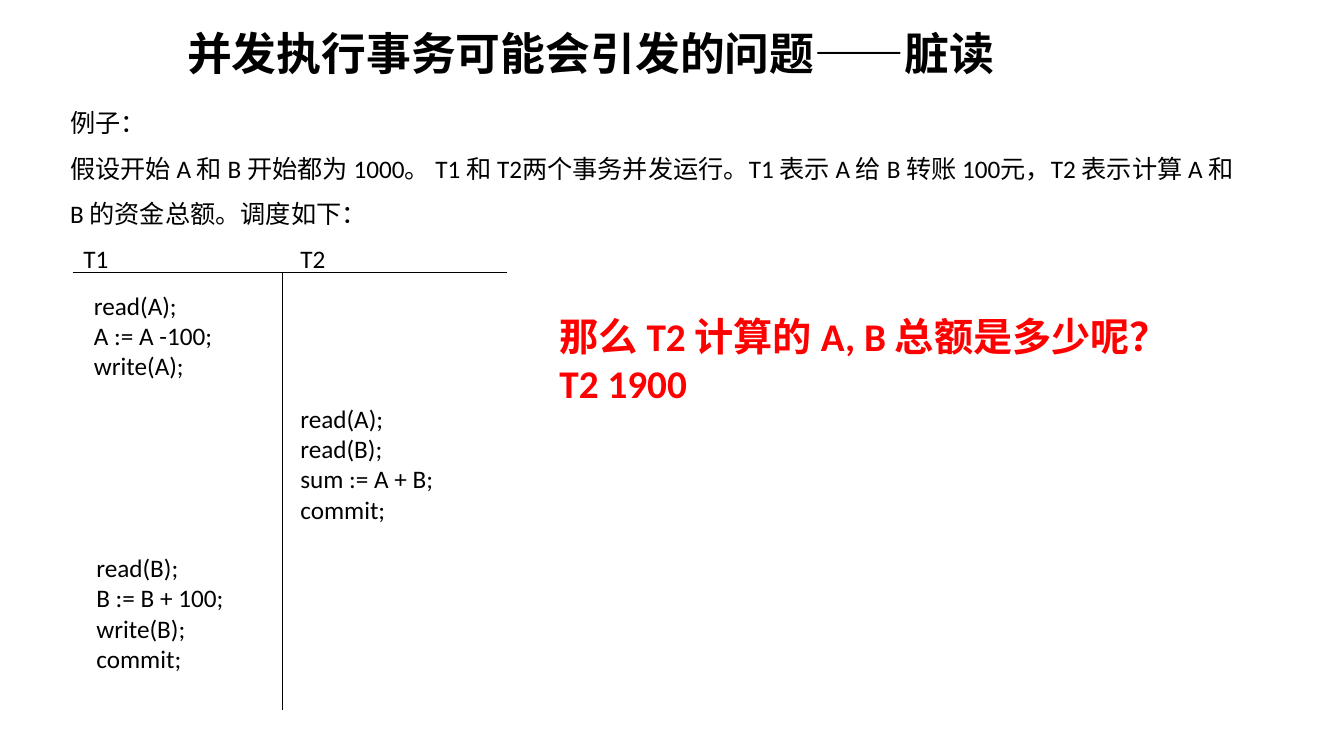
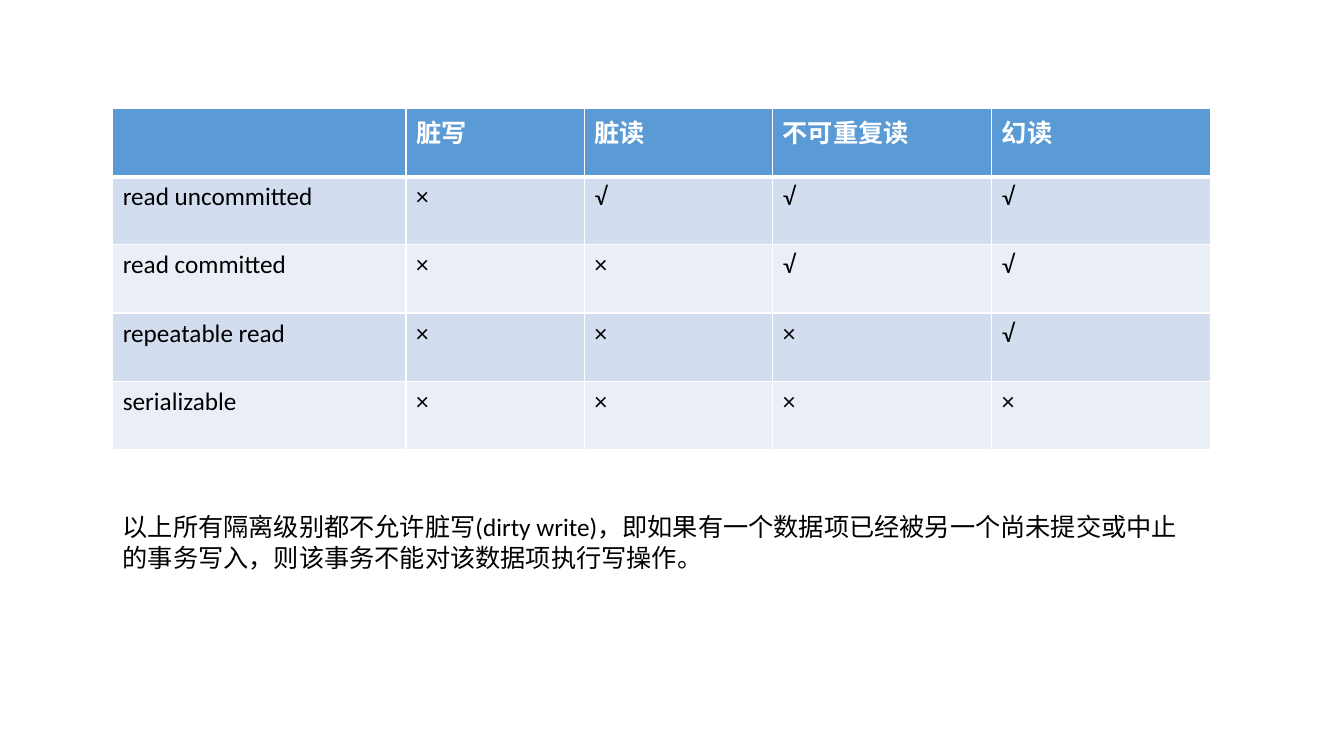
from pptx import Presentation
from pptx.dml.color import RGBColor
from pptx.enum import shapes, text
from pptx.oxml import parse_xml
from pptx.oxml.ns import nsdecls
from pptx.util import Pt

FONT = "Calibri"
BLACK, WHITE, RED = "000000", "FFFFFF", "FF0000"
HEADER, BANDS = "5B9BD5", ("D2DEEF", "EAEFF7")

# Content: dirty read example
TITLE = "并发执行事务可能会引发的问题——脏读"
INTRO = [
    "例子：",
    "假设开始 A 和 B 开始都为 1000。 T1 和 T2两个事务并发运行。"
    "T1 表示 A 给 B 转账 100元，T2 表示计算 A 和 B 的资金总额。调度如下：",
]
QUESTION = ["那么 T2 计算的 A, B 总额是多少呢？", "T2 1900"]
SCHEDULE = [  # left, top, width, height, lines
    (52.5, 170, 93, 29, ["T1"]),
    (207.5, 170, 125, 29, ["T2"]),
    (60, 203.5, 134, 73, ["read(A);", "A := A -100;", "write(A);"]),
    (207.5, 284.5, 166, 94.5, ["read(A);", "read(B);", "sum := A + B;", "commit;"]),
    (61.8, 391, 136, 94.5, ["read(B);", "B := B + 100;", "write(B);", "commit;"]),
]
RULES = [(52.5, 194.5, 362, 194.5), (201.5, 194.5, 201.5, 507)]

# Content: isolation levels
LEVELS = [
    ("", "脏写", "脏读", "不可重复读", "幻读"),
    ("read uncommitted", "×", "√", "√", "√"),
    ("read committed", "×", "×", "√", "√"),
    ("repeatable read", "×", "×", "×", "√"),
    ("serializable", "×", "×", "×", "×"),
]
COLUMNS = (209.5, 127.5, 134.5, 156.5, 156.5)
ROW_HEIGHT = 48.7
NOTE = ["以上所有隔离级别都不允许脏写(dirty write)，即如果有一个数据项已经被"
        "另一个尚未提交或中止的事务写入，则该事务不能对该数据项执行写操作。"]


def rgb(color):
    return RGBColor.from_string(color)


def write(tf, lines, size=18, color=BLACK, bold=False, spacing=None, align=None):
    tf.text = "\n".join(lines)
    for p in tf.paragraphs:
        p.line_spacing, p.alignment = spacing, align
        for r in p.runs:
            r.font.name, r.font.size, r.font.bold = FONT, Pt(size), bold
            r.font.color.rgb = rgb(color)


def add_text(slide, left, top, width, height, lines, **style):
    tf = slide.shapes.add_textbox(Pt(left), Pt(top), Pt(width), Pt(height)).text_frame
    tf.word_wrap = True
    tf.auto_size = text.MSO_AUTO_SIZE.SHAPE_TO_FIT_TEXT
    write(tf, lines, **style)


def add_title(slide, left, top, width, height, title):
    sp = slide.shapes.title
    sp.left, sp.top, sp.width, sp.height = Pt(left), Pt(top), Pt(width), Pt(height)
    tf = sp.text_frame
    tf.auto_size = text.MSO_AUTO_SIZE.NONE
    tf.vertical_anchor = text.MSO_ANCHOR.TOP
    write(tf, [title], size=32, bold=True, align=text.PP_ALIGN.CENTER)


def add_rule(slide, x1, y1, x2, y2):
    line = slide.shapes.add_connector(
        shapes.MSO_CONNECTOR.STRAIGHT, Pt(x1), Pt(y1), Pt(x2), Pt(y2))
    line.line.color.rgb, line.line.width = rgb(BLACK), Pt(0.75)
    line._element.spPr.append(parse_xml(f"<a:effectLst {nsdecls('a')}/>"))


def set_borders(cell, widths):
    """Draw white borders; widths maps each side (L, R, T, B) to points."""
    tc_pr = cell._tc.get_or_add_tcPr()
    for i, (side, width) in enumerate(widths.items()):
        tc_pr.insert(i, parse_xml(
            f'<a:ln{side} {nsdecls("a")} w="{Pt(width)}"><a:solidFill>'
            f'<a:srgbClr val="{WHITE}"/></a:solidFill></a:ln{side}>'))


def add_levels_table(slide, left, top):
    table = slide.shapes.add_table(
        len(LEVELS), len(COLUMNS), Pt(left), Pt(top),
        Pt(sum(COLUMNS)), Pt(ROW_HEIGHT * len(LEVELS))).table
    for column, width in zip(table.columns, COLUMNS):
        column.width = Pt(width)
    for i, values in enumerate(LEVELS):
        table.rows[i].height = Pt(ROW_HEIGHT)
        head = i == 0
        for j, value in enumerate(values):
            cell = table.cell(i, j)
            cell.fill.solid()
            cell.fill.fore_color.rgb = rgb(HEADER if head else BANDS[(i - 1) % 2])
            write(cell.text_frame, [value], color=WHITE if head else BLACK, bold=head)
            set_borders(cell, {"L": 1, "R": 1, "T": 3 if i == 1 else 1,
                               "B": 3 if head else 1})


def main():
    prs = Presentation()
    prs.slide_width, prs.slide_height = Pt(960), Pt(540)
    title_only, blank = prs.slide_layouts[5], prs.slide_layouts[6]

    # Dirty read: intro, schedule and question
    s = prs.slides.add_slide(title_only)
    add_title(s, 111, 15, 622, 46, TITLE)
    add_text(s, 43, 62.5, 846, 105, INTRO, spacing=1.5)
    for rule in RULES:
        add_rule(s, *rule)
    for step in SCHEDULE:
        add_text(s, *step)
    add_text(s, 392.5, 219.5, 474.5, 75, QUESTION, size=28, color=RED, bold=True)

    # Isolation levels: table and note
    s = prs.slides.add_slide(blank)
    add_levels_table(s, 80.5, 77.5)
    add_text(s, 80.5, 362, sum(COLUMNS), 51, NOTE)

    prs.save("out.pptx")


if __name__ == "__main__":
    main()
